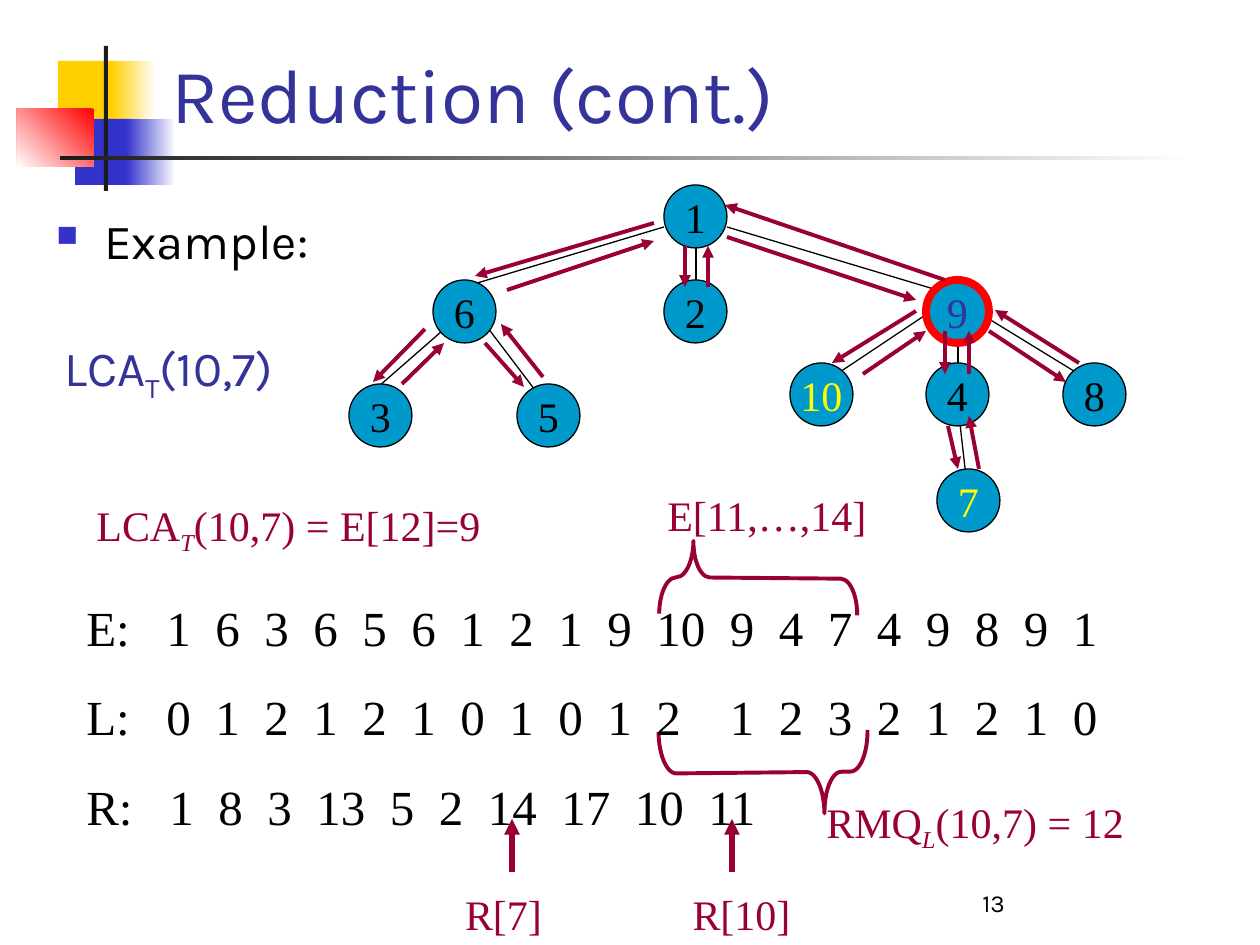
import pptx
import pptx.util
import pptx.dml.color
import pptx.enum.shapes
import pptx.enum.text
import pptx.oxml.ns
import lxml.etree

PX = 914400 // 126
SERIF, SANS = "Times New Roman", "Karla"
BLACK, WHITE, NAVY, WINE = "000000", "FFFFFF", "333399", "990033"
GOLD, BLUE, RED, DARK, YELLOW = "FFCF01", "3333CC", "FF0000", "1C1C1C", "FFFF00"
SHAPE = pptx.enum.shapes.MSO_SHAPE
ANCHOR = pptx.enum.text.MSO_ANCHOR
ALIGN = pptx.enum.text.PP_ALIGN


def rgb(value):
    """Turn a hex string into a colour."""
    return pptx.dml.color.RGBColor.from_string(value)


def child(parent, tag, **attrs):
    """Append a DrawingML element to a parent."""
    return lxml.etree.SubElement(parent, pptx.oxml.ns.qn("a:" + tag), attrs)


def add_shape(s, kind, x, y, w, h):
    """Add a preset shape without shadow, fill or line."""
    sp = s.shapes.add_shape(kind, x * PX, y * PX, w * PX, h * PX)
    sp.shadow.inherit = False
    sp.fill.background()
    sp.line.fill.background()
    return sp


def add_line(s, x1, y1, x2, y2, color, width, arrow=False):
    """Draw a straight line, with an arrowhead at its end if asked."""
    c = s.shapes.add_connector(pptx.enum.shapes.MSO_CONNECTOR.STRAIGHT,
                               x1 * PX, y1 * PX, x2 * PX, y2 * PX)
    c.line.color.rgb = rgb(color)
    c.line.width = pptx.util.Pt(width)
    if arrow:
        child(c.line._get_or_add_ln(), "tailEnd", type="triangle")
    child(c._element.spPr, "effectLst")


def style(r, size, font, color):
    """Set the size, font and colour of a run."""
    r.font.size = pptx.util.Pt(size)
    r.font.name = font
    r.font.color.rgb = rgb(color)


def add_text(s, x, y, w, h, parts, size, font, color, before=0,
             anchor=ANCHOR.TOP, align=ALIGN.LEFT, wrap=True, italic=False):
    """Add one paragraph whose every second part is a subscript."""
    tf = s.shapes.add_textbox(x * PX, y * PX, w * PX, h * PX).text_frame
    tf.word_wrap = wrap
    tf.vertical_anchor = anchor
    p = tf.paragraphs[0]
    p.alignment = align
    p.space_before = pptx.util.Pt(before)
    for i, part in enumerate(parts):
        r = p.add_run()
        r.text = part
        style(r, size, font, color)
        if i % 2:
            r.font.italic = italic
            r.font._element.set("baseline", "-25000")
    return p


def decoration(s, x, y):
    """Place the coloured squares and the two rules of the heading."""
    bars = [(41, 15, 60, 66, GOLD, None, 0), (94, 15, 45, 66, WHITE, GOLD, 180),
            (58, 73, 58, 66, BLUE, None, 0), (109, 73, 50, 66, WHITE, BLUE, 180),
            (0, 63, 77, 58, RED, WHITE, 225), (87, 0, 4, 145, DARK, None, 0),
            (43, 110, 1134, 4, WHITE, DARK, 180)]
    for dx, dy, w, h, first, last, angle in bars:
        sp = add_shape(s, SHAPE.RECTANGLE, x + dx, y + dy, w, h)
        if last is None:
            sp.fill.solid()
            sp.fill.fore_color.rgb = rgb(first)
            continue
        sp.fill.gradient()
        sp.fill.gradient_angle = angle
        for stop, color, position in zip(sp.fill.gradient_stops, (first, last), (0, 1)):
            stop.color.rgb = rgb(color)
            stop.position = position


def heading(s, x, y):
    """Place the title, the bullet and the query."""
    add_text(s, x + 115, y, 1074, 116, ["Reduction (cont.)"], 44, SANS, NAVY,
             anchor=ANCHOR.BOTTOM)
    p = add_text(s, x, y + 175, 1191, 89, ["Example:"], 28, SANS, BLACK, before=7)
    pPr = p._p.get_or_add_pPr()
    pPr.set("marL", str(48 * PX))
    pPr.set("indent", str(-48 * PX))
    child(child(pPr, "buClr"), "srgbClr", val=BLUE)
    child(pPr, "buSzPct", val="60000")
    child(pPr, "buChar", char="■")
    add_text(s, x + 8, y + 302, 261, 79, ["LCA", "T", "(10,7)"], 28, SANS, NAVY)


def tree(s, x, y):
    """Draw the tree with its nodes and the arrows of the Euler tour."""
    edges = [(609, 221, 622, 335), (609, 115, 609, 221), (347, 20, 347, 126),
             (378, 42, 588, 105), (315, 42, 105, 105), (116, 126, 21, 209),
             (126, 126, 189, 209), (599, 115, 473, 199), (609, 115, 746, 199)]
    nodes = [("1", 315, 0), ("6", 84, 95), ("2", 315, 95), ("3", 0, 199),
             ("5", 168, 199), ("10", 441, 178), ("8", 714, 178), ("7", 588, 284),
             ("9", 577, 95), ("4", 577, 178)]
    tour = [(305, 38, 126, 91), (76, 144, 24, 197), (53, 199, 95, 158),
            (136, 158, 175, 202), (194, 192, 152, 139), (158, 105, 305, 56),
            (336, 61, 336, 102), (359, 102, 359, 61), (378, 52, 567, 115),
            (567, 126, 483, 178), (514, 189, 577, 146), (596, 146, 596, 189),
            (599, 241, 609, 284), (630, 284, 620, 231), (620, 189, 620, 146),
            (640, 146, 717, 197), (730, 178, 646, 125), (596, 95, 376, 20)]
    colors = {"10": YELLOW, "7": YELLOW, "9": NAVY}
    for x1, y1, x2, y2 in edges:
        add_line(s, x + x1, y + y1, x + x2, y + y2, BLACK, 0.75)
    for label, dx, dy in nodes:
        sp = add_shape(s, SHAPE.OVAL, x + dx, y + dy, 63, 63)
        sp.fill.solid()
        sp.fill.fore_color.rgb = rgb("0099CC")
        answer = label == "9"
        sp.line.color.rgb = rgb(RED if answer else BLACK)
        sp.line.width = pptx.util.Pt(4.5 if answer else 0.75)
        tf = sp.text_frame
        tf.text = label
        tf.word_wrap = False
        tf.vertical_anchor = ANCHOR.MIDDLE
        p = tf.paragraphs[0]
        p.alignment = ALIGN.CENTER
        style(p.runs[0], 24, SERIF, colors.get(label, BLACK))
    for x1, y1, x2, y2 in tour:
        add_line(s, x + x1, y + y1, x + x2, y + y2, WINE, 2.25, True)


def sequences(s, x, y):
    """Place the three arrays, with one tab stop for each value."""
    euler = "1 6 3 6 5 6 1 2 1 9 10 9 4 7 4 9 8 9 1".split()
    levels = "0 1 2 1 2 1 0 1 0 1 2 1 2 3 2 1 2 1 0".split()
    first = "1 8 3 13 5 2 14 17 10 11".split()
    tf = s.shapes.add_textbox(x * PX, y * PX, 1071 * PX, 251 * PX).text_frame
    tf.word_wrap = True
    rows = [("E:", euler, euler, 80), ("L:", levels, euler, 80), ("R:", first, first, 83)]
    for i, (name, values, widths, start) in enumerate(rows):
        p = tf.add_paragraph() if i else tf.paragraphs[0]
        p.text = "\t".join([name] + values)
        p.space_before = pptx.util.Pt(17.5)
        style(p.runs[0], 28, SERIF, BLACK)
        p.runs[0].font.size = pptx.util.Pt(28)
        tabs = child(p._p.get_or_add_pPr(), "tabLst")
        for value in widths:
            child(tabs, "tab", pos=str(int(start * PX)), algn="l")
            start += 24.5 * (len(value) + 1)


def notes(s, x, y):
    """Place the braces, pointers and labels around the arrays."""
    braces = [(648, -12, 73, 198, 90.5, 0.23, 0.83), (648, 177, 83, 209, 269.4, 0.21, 0.79)]
    for dx, dy, w, h, turn, curl, tip in braces:
        sp = add_shape(s, SHAPE.LEFT_BRACE, x + dx, y + dy, w, h)
        sp.rotation = turn
        sp.adjustments[0], sp.adjustments[1] = curl, tip
        sp.line.color.rgb = rgb(WINE)
        sp.line.width = pptx.util.Pt(2.25)
    for label, dx, w, tip in [("R[7]", 377, 105, 438), ("R[10]", 605, 125, 658)]:
        add_line(s, x + tip, y + 381, x + tip, y + 328, WINE, 3, True)
        add_text(s, x + dx, y + 391, w, 63, [label], 24, SERIF, WINE,
                 before=15, align=ALIGN.CENTER)
    add_text(s, x + 581, y - 8, 252, 63, ["E[11,…,14]"], 24, SERIF, WINE, before=15)
    add_text(s, x + 740, y + 299, 323, 71, ["RMQ", "L", "(10,7) = 12"], 24, SERIF, WINE,
             wrap=False, italic=True)
    add_text(s, x + 10, y + 2, 446, 71, ["LCA", "T", "(10,7) = E[12]=9"], 24, SERIF, WINE,
             before=15, italic=True)


prs = pptx.Presentation()
prs.slide_width, prs.slide_height = 1260 * PX, 945 * PX
s = prs.slides.add_slide(prs.slide_layouts[6])
decoration(s, 17, 46)
heading(s, 44, 29)
tree(s, 349, 185)
notes(s, 74, 491)
sequences(s, 74, 591)
add_text(s, 970, 861, 262, 63, ["13"], 14, SANS, BLACK, anchor=ANCHOR.BOTTOM)
prs.save("out.pptx")
